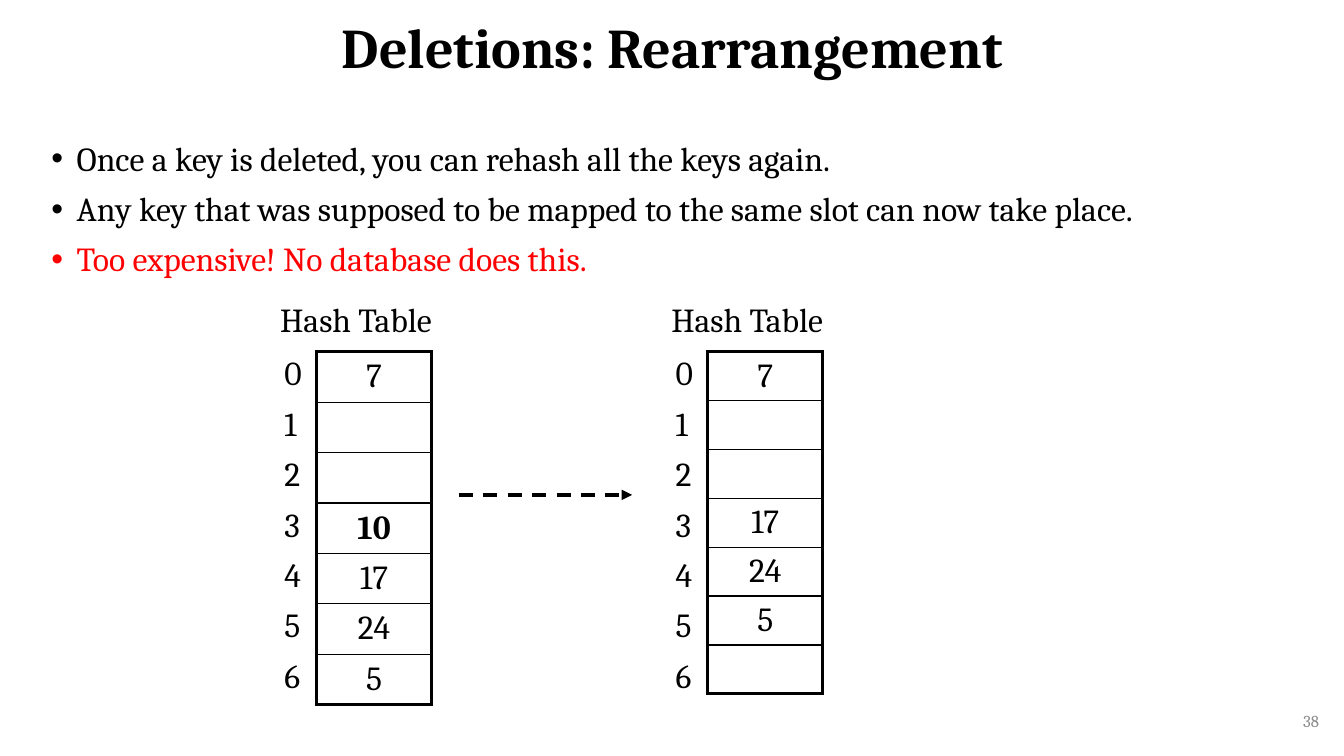
from lxml import etree
from pptx import Presentation
from pptx.dml.color import RGBColor as Rgb
from pptx.enum.dml import MSO_LINE as Dash
from pptx.enum.shapes import MSO_CONNECTOR as Link
from pptx.enum.text import MSO_ANCHOR as Anchor, MSO_AUTO_SIZE as Fit, PP_ALIGN as Align
from pptx.oxml.ns import qn
from pptx.util import Inches, Pt

# Content
TITLE = "Deletions: Rearrangement"
POINTS = [
    ("Once a key is deleted, you can rehash all the keys again.", "black"),
    ("Any key that was supposed to be mapped to the same slot can now take place.", "black"),
    ("Too expensive! No database does this.", "red"),
]
LABEL = "Hash Table"
PAGE = "38"
GONE = "10"  # the key to be deleted, in bold
# left edge of the slots, row height, keys by slot
TABLES = [
    (3.14, 0.5, ["7", "", "", GONE, "17", "24", "5"]),
    (7.02, 0.485, ["7", "", "", "17", "24", "5", ""]),
]
COLORS = {"black": "000000", "red": "FF0000", "gray": "8C8C8C"}
FONT = "Cambria"
TOP = 3.49


def style(para, size=24, color="black", bold=False, align=Align.LEFT):
    para.alignment = align
    for run in para.runs:
        font = run.font
        font.name, font.size, font.bold = FONT, Pt(size), bold
        font.color.rgb = Rgb.from_string(COLORS[color])


def place(shape, x, y, w, h):
    shape.left, shape.top = Inches(x), Inches(y)
    shape.width, shape.height = Inches(w), Inches(h)


def border(cell, sides):
    props = cell._tc.get_or_add_tcPr()
    for spot, (side, width) in enumerate(sides):
        line = etree.Element(qn(f"a:ln{side}"), w=str(Pt(width)))
        fill = etree.SubElement(line, qn("a:solidFill"))
        etree.SubElement(fill, qn("a:srgbClr"), val=COLORS["black"])
        props.insert(spot, line)


def add_grid(slide, x, y, w, row, items, align, lined):
    count = len(items)
    table = slide.shapes.add_table(
        count, 1, Inches(x), Inches(y), Inches(w), Inches(row * count)).table
    table.first_row = table.horz_banding = False
    for i, item in enumerate(items):
        table.rows[i].height = Inches(row)
        cell = table.cell(i, 0)
        cell.text = item
        cell.margin_top = cell.margin_bottom = 0
        cell.vertical_anchor = Anchor.MIDDLE
        cell.fill.background()
        style(cell.text_frame.paragraphs[0], bold=item == GONE, align=align)
        if lined:
            top = 2.25 if i == 0 else 1
            base = 2.25 if i == count - 1 else 1
            border(cell, [("L", 2.25), ("R", 2.25), ("T", top), ("B", base)])


def add_label(slide, text, x, y, w, h, **look):
    box = slide.shapes.add_textbox(Inches(x), Inches(y), Inches(w), Inches(h))
    frame = box.text_frame
    frame.text = text
    style(frame.paragraphs[0], **look)
    return frame


def main():
    deck = Presentation()
    deck.slide_width, deck.slide_height = Inches(13.33), Inches(7.5)
    slide = deck.slides.add_slide(deck.slide_layouts[1])
    title, body = slide.placeholders

    # Title
    place(title, 0.92, 0, 11.5, 0.99)
    frame = title.text_frame
    frame.text = TITLE
    frame.vertical_anchor = Anchor.MIDDLE
    frame.paragraphs[0].line_spacing = 0.9
    style(frame.paragraphs[0], 40, bold=True, align=Align.CENTER)

    # Bullet list
    place(body, 0.41, 1.36, 12.92, 1.42)
    frame = body.text_frame
    frame.auto_size = Fit.NONE
    frame.text = "\n".join(text for text, _ in POINTS)
    for para, (_, color) in zip(frame.paragraphs, POINTS):
        style(para, color=color, align=Align.JUSTIFY)
        para.line_spacing, para.space_before = 0.9, Pt(10)
        props = para._p.get_or_add_pPr()
        props.set("marL", str(Inches(0.25)))
        props.set("indent", str(-Inches(0.25)))
        etree.SubElement(props, qn("a:buFont"), typeface="Arial")
        etree.SubElement(props, qn("a:buChar"), char="•")

    # Hash tables with slot numbers
    for x, row, keys in TABLES:
        add_label(slide, LABEL, x - 0.46, 2.92, 1.87, 0.5)
        slots = [str(i) for i in range(len(keys))]
        add_grid(slide, x - 0.42, TOP - 0.02, 0.39, 0.5, slots, Align.LEFT, False)
        add_grid(slide, x, TOP, 1.14, row, keys, Align.CENTER, True)

    # Dashed arrow
    arrow = slide.shapes.add_connector(
        Link.STRAIGHT, Inches(4.55), Inches(4.91), Inches(6.27), Inches(4.91))
    arrow.line.width = Pt(2.5)
    arrow.line.color.rgb = Rgb.from_string(COLORS["black"])
    arrow.line.dash_style = Dash.DASH
    etree.SubElement(arrow.line._get_or_add_ln(), qn("a:tailEnd"), type="triangle")
    etree.SubElement(arrow._element.spPr, qn("a:effectLst"))

    # Page number
    frame = add_label(slide, PAGE, 10.18, 6.95, 3, 0.4,
                      size=12, color="gray", align=Align.RIGHT)
    frame.word_wrap = True
    frame.vertical_anchor = Anchor.MIDDLE

    deck.save("out.pptx")


if __name__ == "__main__":
    main()
